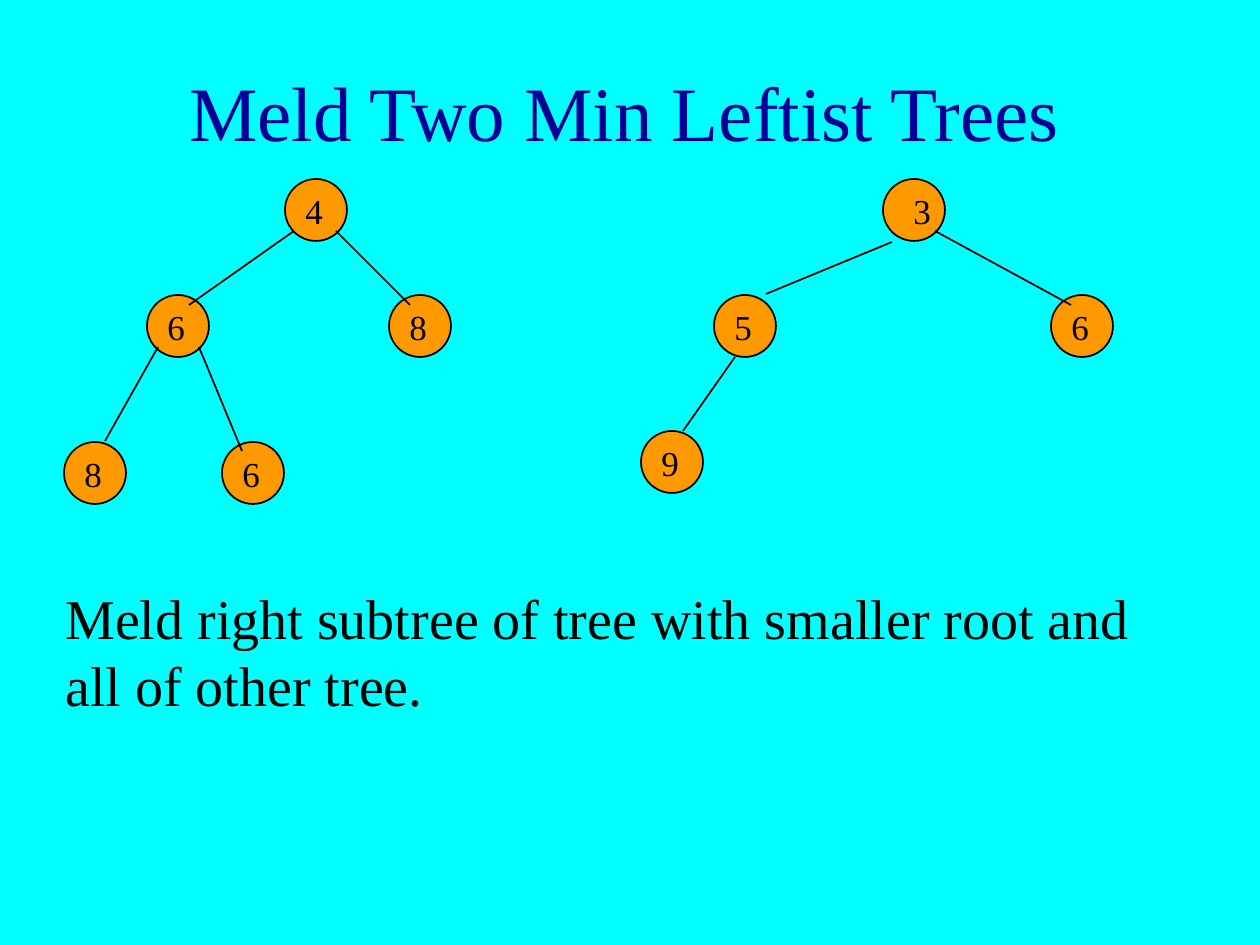
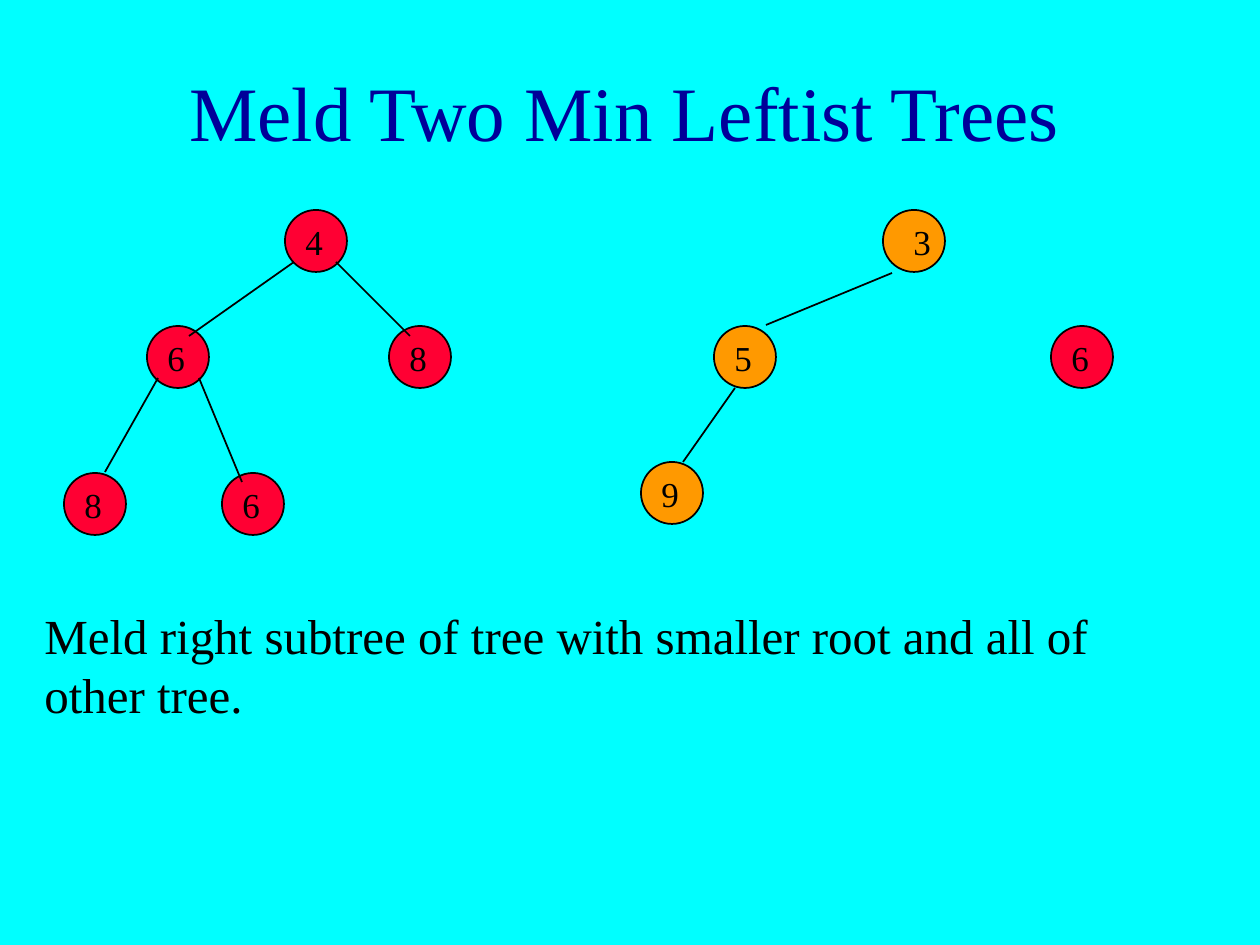
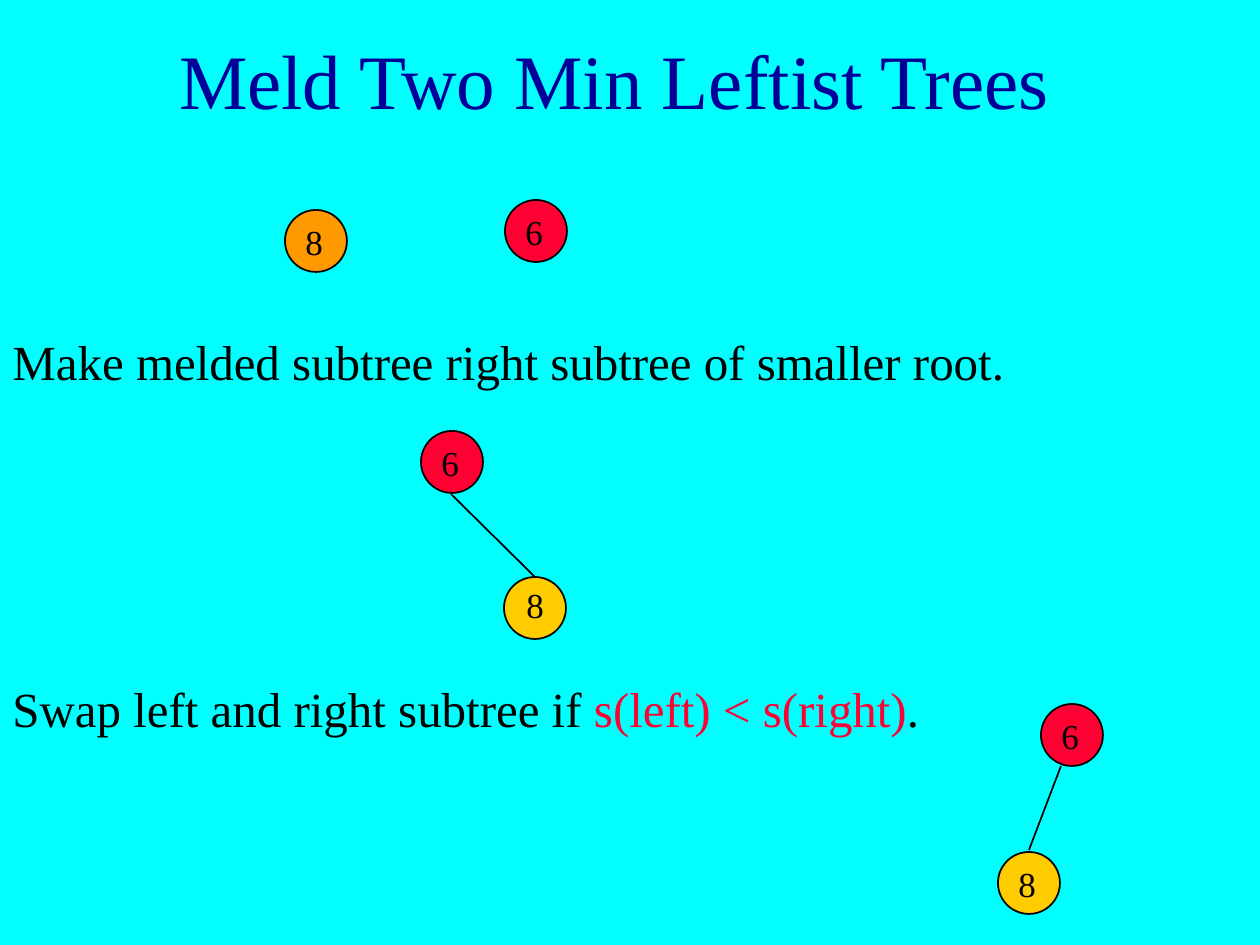
from dataclasses import dataclass

from pptx import Presentation
from pptx import util as u
from pptx.dml.color import RGBColor
from pptx.enum import shapes, text
from pptx.oxml.ns import qn
from lxml import etree


@dataclass(frozen=True)
class Theme:
    font: str = "Times New Roman"
    background: str = "00FFFF"
    title: str = "000099"
    ink: str = "000000"
    orange: str = "FF9900"
    red: str = "FF0033"
    yellow: str = "FFCC00"
    title_size: int = 44
    large_size: int = 32
    body_size: int = 28
    label_size: int = 20
    line_width: int = 1


THEME = Theme()
PX_PER_INCH = 126
NODE = 62
LABEL_SHIFT = (8, 4)
LABEL_SIZE = (43, 54)

# Content: nodes are (key, left, top), edges are (x1, y1, x2, y2)
TITLE = "Meld Two Min Leftist Trees"
RULE = "Meld right subtree of tree with smaller root and all of other tree."
LEFT_NODES = [("4", 285, 179), ("6", 147, 295), ("8", 389, 295),
              ("8", 64, 442), ("6", 222, 442)]
RIGHT_NODES = [("3", 883, 179, (18, 4)), ("5", 714, 295), ("9", 641, 431)]
RIGHT_CHILD = [("6", 1051, 295)]
LEFT_EDGES = [(294, 231, 189, 305), (336, 231, 410, 305),
              (158, 347, 105, 441), (199, 347, 242, 451)]
RIGHT_EDGES = [(892, 242, 766, 294), (735, 357, 683, 431)]
RIGHT_CHILD_EDGE = [(935, 231, 1071, 305)]

SLIDES = [
    {"title_at": (10, 32), "drop": 0,
     "nodes": [(THEME.orange, LEFT_NODES + RIGHT_NODES + RIGHT_CHILD)],
     "edges": LEFT_EDGES + RIGHT_EDGES + RIGHT_CHILD_EDGE,
     "notes": [((53, 577, 1102, 147), [(RULE, THEME.ink)], THEME.large_size)]},
    {"title_at": (10, 32), "drop": 31,
     "nodes": [(THEME.red, LEFT_NODES + RIGHT_CHILD), (THEME.orange, RIGHT_NODES)],
     "edges": LEFT_EDGES + RIGHT_EDGES,
     "notes": [((32, 599, 1102, 131), [(RULE, THEME.ink)], THEME.body_size)]},
    {"title_at": (0, 0), "drop": 0,
     "nodes": [(THEME.orange, [("8", 285, 210)]),
               (THEME.red, [("6", 505, 200), ("6", 421, 431), ("6", 1041, 704)]),
               (THEME.yellow, [("8", 504, 577, (10, 0)), ("8", 998, 852)])],
     "edges": [(451, 494, 535, 577), (1061, 766, 1029, 850)],
     "notes": [((0, 672, 1029, 72),
                [("Swap left and right subtree if ", THEME.ink),
                 ("s(left) < s(right)", THEME.red), (".", THEME.ink)],
                THEME.body_size),
               ((0, 325, 1102, 72),
                [("Make melded subtree right subtree of smaller root.", THEME.ink)],
                THEME.body_size)]},
]


def px(length):
    return round(length * u.Inches(1) / PX_PER_INCH)


def rgb(colour):
    return RGBColor.from_string(colour)


def add_text(page, place, spans, *, size, align=text.PP_ALIGN.LEFT,
             anchor=text.MSO_ANCHOR.TOP, wrap=True, grow=True):
    box = page.shapes.add_textbox(*map(px, place))
    frame = box.text_frame
    frame.word_wrap = wrap
    frame.vertical_anchor = anchor
    if grow:
        frame.auto_size = text.MSO_AUTO_SIZE.SHAPE_TO_FIT_TEXT
    para = frame.paragraphs[0]
    para.alignment = align
    for words, colour in spans:
        span = para.add_run()
        span.text = words
        span.font.name = THEME.font
        span.font.size = u.Pt(size)
        span.font.color.rgb = rgb(colour)


def style_line(line):
    line.color.rgb = rgb(THEME.ink)
    line.width = u.Pt(THEME.line_width)


def add_circle(page, left, top, colour):
    circle = page.shapes.add_shape(shapes.MSO_SHAPE.OVAL,
                                   px(left), px(top), px(NODE), px(NODE))
    circle.shadow.inherit = False
    circle.fill.solid()
    circle.fill.fore_color.rgb = rgb(colour)
    style_line(circle.line)


def add_edge(page, ends):
    edge = page.shapes.add_connector(shapes.MSO_CONNECTOR.STRAIGHT, *map(px, ends))
    style_line(edge.line)
    etree.SubElement(edge._element.spPr, qn("a:effectLst"))


def add_forest(page, groups, edges, drop):
    # Circles lie below the edges, keys above them
    labels = []
    for colour, nodes in groups:
        for key, left, top, *shift in nodes:
            add_circle(page, left, top + drop, colour)
            dx, dy = shift[0] if shift else LABEL_SHIFT
            labels.append((key, (left + dx, top + drop + dy, *LABEL_SIZE)))
    for x1, y1, x2, y2 in edges:
        add_edge(page, (x1, y1 + drop, x2, y2 + drop))
    for key, place in labels:
        add_text(page, place, [(key, THEME.ink)], size=THEME.label_size, wrap=False)


def add_page(deck, content):
    page = deck.slides.add_slide(deck.slide_layouts[6])
    page.background.fill.solid()
    page.background.fill.fore_color.rgb = rgb(THEME.background)
    add_text(page, (*content["title_at"], 1229, 158), [(TITLE, THEME.title)],
             size=THEME.title_size, align=text.PP_ALIGN.CENTER,
             anchor=text.MSO_ANCHOR.MIDDLE, grow=False)
    add_forest(page, content["nodes"], content["edges"], content["drop"])
    for place, spans, size in content["notes"]:
        add_text(page, place, spans, size=size)


def main():
    deck = Presentation()
    deck.slide_width, deck.slide_height = u.Inches(10), u.Inches(7.5)
    for content in SLIDES:
        add_page(deck, content)
    deck.save("out.pptx")


if __name__ == "__main__":
    main()
